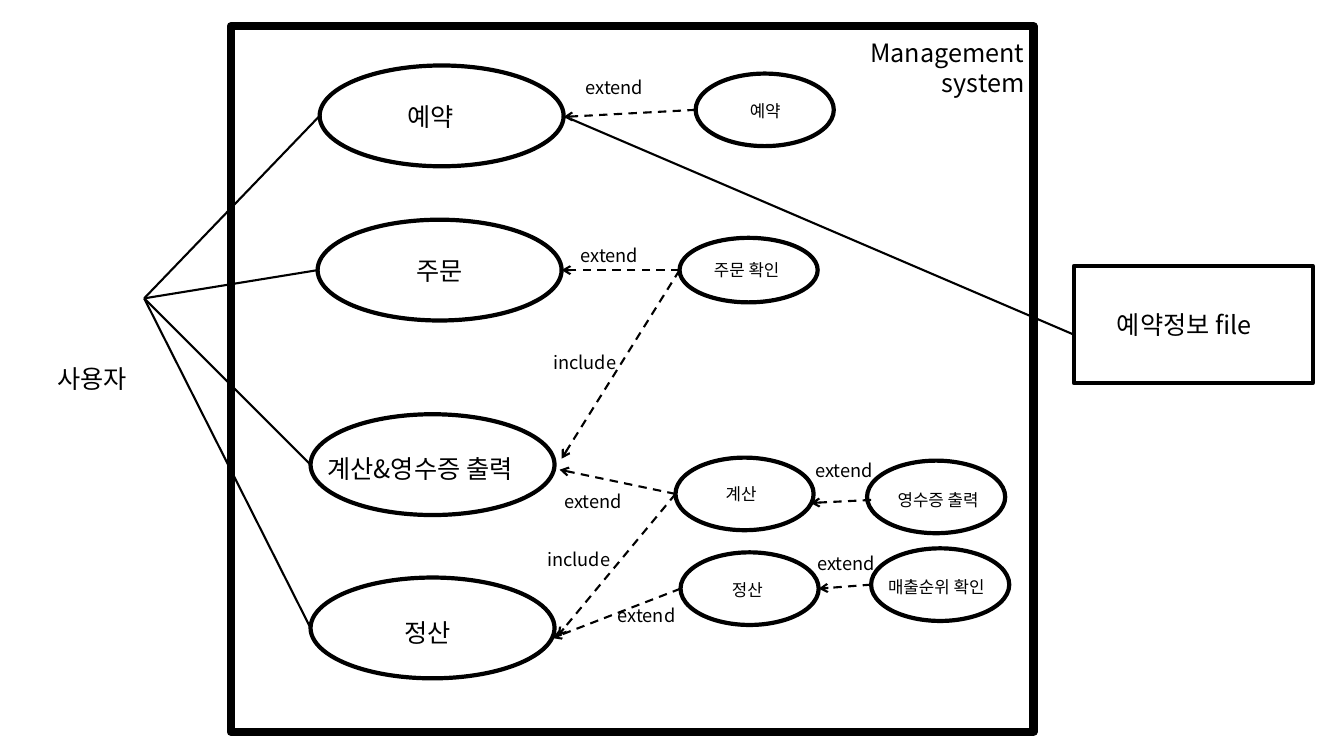
from dataclasses import dataclass

from lxml.etree import SubElement
from pptx import Presentation
from pptx.dml.color import RGBColor
from pptx.enum.dml import MSO_LINE
from pptx.enum.shapes import MSO_CONNECTOR, MSO_SHAPE
from pptx.enum.text import MSO_ANCHOR, MSO_AUTO_SIZE, PP_ALIGN
from pptx.oxml.ns import qn
from pptx.util import Inches, Pt

COLUMNS, ROWS = 13.33, 7.5
MAIN_SIZE = (2.42, 1)
DETAIL_SIZE = (1.37, 0.72)


@dataclass(frozen=True)
class Theme:
    """Colours, font, type sizes and line widths of the diagram."""
    ink: RGBColor = RGBColor(0, 0, 0)
    paper: RGBColor = RGBColor(255, 255, 255)
    font: str = "Noto Sans CJK KR"
    title: int = 18
    relation: int = 13
    detail: int = 12
    frame: float = 6
    outline: float = 3
    link: float = 1.5


THEME = Theme()


def write(frame, text, size, align):
    """Fill a text frame and format every run in it."""
    frame.text = text
    for para in frame.paragraphs:
        para.alignment = align
        for span in para.runs:
            span.font.size = Pt(size)
            span.font.color.rgb = THEME.ink
            span.font.name = THEME.font
            SubElement(span._r.get_or_add_rPr(), qn("a:ea"), typeface=THEME.font)


def outlined(page, kind, left, top, size, width=THEME.outline):
    """Add a white shape with a black outline."""
    shape = page.shapes.add_shape(kind, *map(Inches, (left, top, *size)))
    shape.shadow.inherit = False
    shape.fill.solid()
    shape.fill.fore_color.rgb = THEME.paper
    shape.line.color.rgb = THEME.ink
    shape.line.width = Pt(width)
    return shape


def use_case(page, left, top, size, text="", points=THEME.title):
    """Add a use case oval and return the middle of its left edge."""
    oval = outlined(page, MSO_SHAPE.OVAL, left, top, size)
    if text:
        oval.text_frame.word_wrap = True
        oval.text_frame.vertical_anchor = MSO_ANCHOR.MIDDLE
        write(oval.text_frame, text, points, PP_ALIGN.CENTER)
    return left, top + size[1] / 2


def label(page, text, left, top, width, height, points, align=PP_ALIGN.LEFT):
    """Add a free-standing wrapped label."""
    box = page.shapes.add_textbox(*map(Inches, (left, top, width, height)))
    box.text_frame.word_wrap = True
    box.text_frame.auto_size = MSO_AUTO_SIZE.SHAPE_TO_FIT_TEXT
    write(box.text_frame, text, points, align)


def link(page, start, end):
    """Add a plain association line."""
    line = page.shapes.add_connector(
        MSO_CONNECTOR.STRAIGHT, *map(Inches, (*start, *end)))
    line.line.color.rgb = THEME.ink
    line.line.width = Pt(THEME.link)
    SubElement(line._element.spPr, qn("a:effectLst"))
    return line


def dependency(page, start, end):
    """Add a dashed line with an open arrowhead at its end."""
    line = link(page, start, end).line
    line.dash_style = MSO_LINE.DASH
    SubElement(line._get_or_add_ln(), qn("a:tailEnd"), type="arrow")


def add_use_cases(page):
    """Draw all ovals and return the left anchors of main and detail ones."""
    mains = [use_case(page, left, top, MAIN_SIZE, text) for left, top, text in (
        (3.17, 0.65, ""), (3.15, 2.18, "주문"), (3.08, 4.11, ""), (3.08, 5.73, ""))]
    details = {name: use_case(page, left, top, DETAIL_SIZE) for name, left, top in (
        ("reserve", 6.9, 0.73), ("pay", 6.7, 4.54), ("settle", 6.75, 5.48),
        ("receipt", 8.6, 4.57), ("ranking", 8.64, 5.44))}
    details["order"] = use_case(
        page, 6.74, 2.36, (DETAIL_SIZE[0], 0.64), "주문 확인 ", THEME.detail)
    return mains, details


def add_links(page, mains, details):
    """Join the user, the use cases and the file."""
    for anchor in mains:
        link(page, anchor, (1.43, 2.96))
    link(page, (5.66, 1.18), (10.65, 3.32))
    for name, end in (
            ("reserve", (5.59, 1.16)), ("order", (5.57, 2.68)),
            ("order", (5.57, 4.55)), ("pay", (5.55, 4.66)),
            ("pay", (5.53, 6.31)), ("settle", (5.48, 6.33)),
            ("ranking", (8.12, 5.84))):
        dependency(page, details[name], end)
    dependency(page, (8.64, 4.96), (8.04, 4.99))


def add_labels(page):
    """Write the names of use cases, actors and relations."""
    for text, left, top, width in (
            ("예약", 3.94, 0.96, 1.05), ("계산&영수증 출력", 3.15, 4.45, 2.53),
            ("정산", 3.91, 6.08, 2.35), ("예약정보 file", 10.98, 3.02, 2.08),
            ("사용자", 0.47, 3.56, 1.55)):
        label(page, text, left, top, width, 0.4, THEME.title)
    label(page, "Management\nsystem", 8.5, 0.32, 1.76, 0.71,
          THEME.title, PP_ALIGN.RIGHT)
    for text, left, top, width, align in (
            ("예약", 6.85, 0.95, 1.48, PP_ALIGN.CENTER),
            ("계산", 7.1, 4.75, 1.33, PP_ALIGN.LEFT),
            ("정산", 7.16, 5.7, 0.58, PP_ALIGN.LEFT),
            ("영수증 출력", 8.64, 4.81, 1.33, PP_ALIGN.CENTER),
            ("매출순위 확인 ", 8.71, 5.67, 1.33, PP_ALIGN.LEFT)):
        label(page, text, left, top, width, 0.3, THEME.detail, align)
    for text, left, top, width in (
            ("extend", 5.71, 0.71, 0.86), ("extend", 5.66, 2.37, 0.81),
            ("extend", 7.99, 4.51, 2.82), ("extend", 5.5, 4.81, 0.85),
            ("extend", 6.03, 5.95, 2.82), ("extend", 8.01, 5.43, 0.97),
            ("include", 5.39, 3.44, 2.82), ("include", 5.33, 5.39, 2.82)):
        label(page, text, left, top, width, 0.32, THEME.relation)


def main():
    """Build the use case diagram and save it."""
    deck = Presentation()
    deck.slide_width, deck.slide_height = Inches(COLUMNS), Inches(ROWS)
    page = deck.slides.add_slide(deck.slide_layouts[6])
    outlined(page, MSO_SHAPE.RECTANGLE, 2.29, 0.26, (7.96, 7), THEME.frame)
    outlined(page, MSO_SHAPE.RECTANGLE, 10.65, 2.64, (2.37, 1.16))
    mains, details = add_use_cases(page)
    add_links(page, mains, details)
    add_labels(page)
    deck.save("out.pptx")


main()
